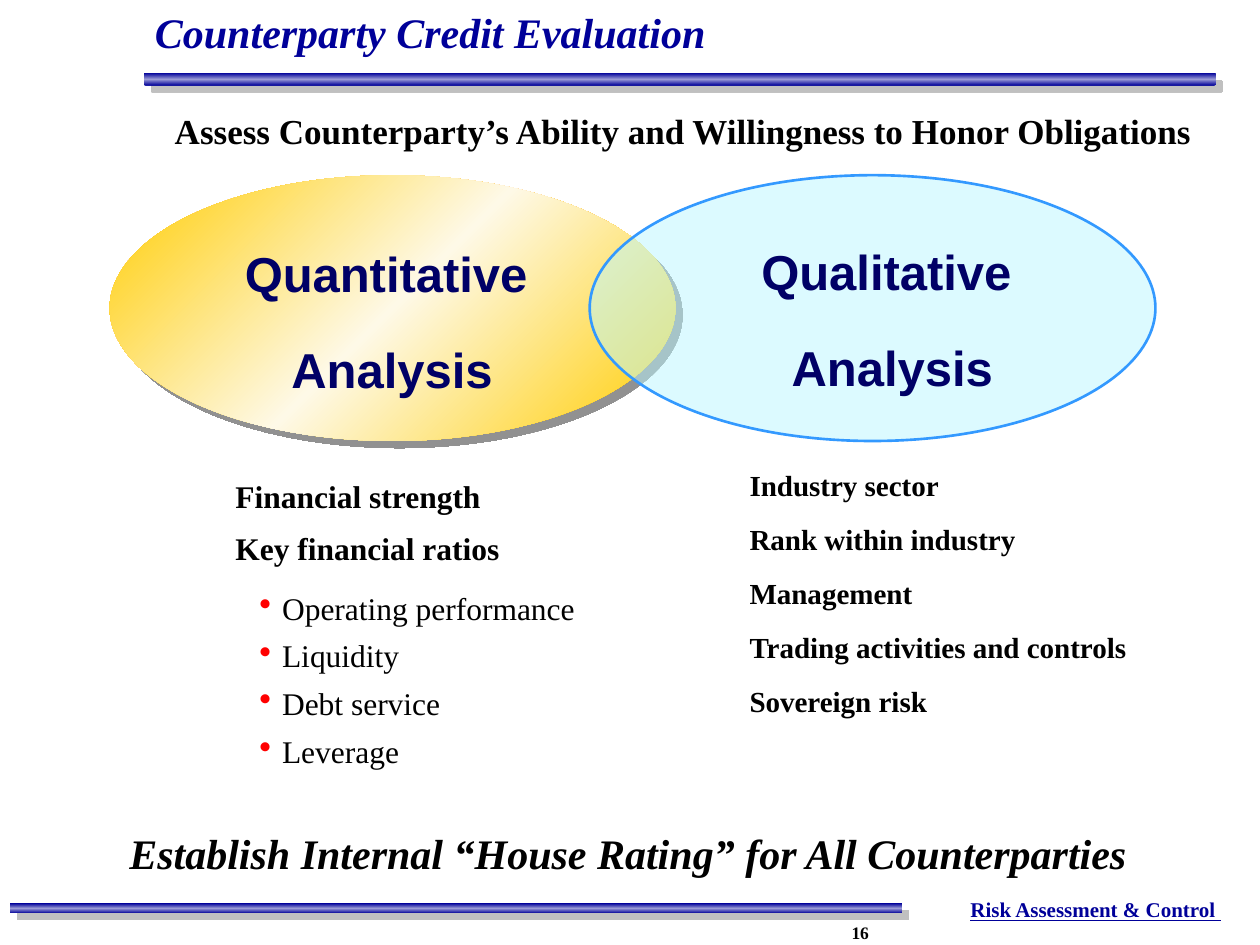
from lxml import etree
from pptx import Presentation, util as u
from pptx.dml import color
from pptx.enum import shapes, text
from pptx.oxml import ns

Pt = u.Pt
SHAPE = shapes.MSO_SHAPE
ALIGN = text.PP_ALIGN
ANCHOR = text.MSO_ANCHOR
SERIF = "Times New Roman"
NAVY, BLACK = "000099", "000000"


def rgb(value):
    return color.RGBColor.from_string(value)


def add_element(parent, tag, **attributes):
    element = etree.SubElement(parent, ns.qn(tag))
    for name, value in attributes.items():
        element.set(name, str(value))
    return element


def add_plain_shape(slide, kind, box):
    shape = slide.shapes.add_shape(kind, *map(Pt, box))
    shape.shadow.inherit = False
    shape.fill.background()
    shape.line.fill.background()
    return shape


def add_gradient_shape(slide, kind, box, edge, middle, angle, shadow):
    shape = add_plain_shape(slide, kind, box)
    properties = shape._element.spPr
    gradient = etree.Element(ns.qn("a:gradFill"), rotWithShape="1")
    stops = add_element(gradient, "a:gsLst")
    for position, value in ((0, edge), (50, middle), (100, edge)):
        stop = add_element(stops, "a:gs", pos=position * 1000)
        add_element(stop, "a:srgbClr", val=value)
    add_element(gradient, "a:lin", ang=angle * 60000, scaled=0)
    properties.replace(properties.find(ns.qn("a:noFill")), gradient)
    outer = add_element(properties.find(ns.qn("a:effectLst")), "a:outerShdw",
                        dist=Pt(5.7), dir=45 * 60000, algn="ctr", rotWithShape=0)
    add_element(outer, "a:srgbClr", val=shadow)


def add_translucent_ellipse(slide, box, fill, opacity, line):
    shape = add_plain_shape(slide, SHAPE.OVAL, box)
    shape.fill.solid()
    shape.fill.fore_color.rgb = rgb(fill)
    solid = shape._element.spPr.find(ns.qn("a:solidFill"))
    add_element(solid[0], "a:alpha", val=opacity * 1000)
    shape.line.color.rgb = rgb(line)
    shape.line.width = Pt(1.5)


def add_bullet(paragraph):
    properties = paragraph._p.get_or_add_pPr()
    properties.set("marL", str(Pt(26.64)))
    properties.set("indent", str(Pt(-12.96)))
    add_element(add_element(properties, "a:buClr"), "a:srgbClr", val="FF0000")
    add_element(properties, "a:buSzPct", val=110000)
    add_element(properties, "a:buChar", char="•")
    paragraph.level = 1


def write(frame, content, size=18, font=SERIF, colour=BLACK, bold=True, italic=False,
          underline=False, align=ALIGN.LEFT, spacing=1.0, before=0, after=0,
          bullet=False, extend=False):
    for index, line in enumerate(content.split("\n")):
        first = index == 0 and not extend
        paragraph = frame.paragraphs[0] if first else frame.add_paragraph()
        if bullet:
            add_bullet(paragraph)
        paragraph.alignment = align
        paragraph.line_spacing = spacing
        paragraph.space_before = Pt(0 if first else before)
        paragraph.space_after = Pt(after)
        run = paragraph.add_run()
        run.text = line
        run.font.size = Pt(size)
        run.font.name = font
        run.font.color.rgb = rgb(colour)
        run.font.bold = bold
        run.font.italic = italic
        run.font.underline = underline


def set_frame(frame, wrap, anchor, left=7.2, right=7.2):
    frame.word_wrap = wrap
    frame.vertical_anchor = anchor
    frame.margin_left, frame.margin_right = Pt(left), Pt(right)
    frame.margin_top = frame.margin_bottom = Pt(3.6)
    return frame


def add_text(slide, box, wrap=True, anchor=ANCHOR.TOP, **margins):
    shape = slide.shapes.add_textbox(*map(Pt, box))
    return set_frame(shape.text_frame, wrap, anchor, **margins)


def add_banner(slide, box, content, **formatting):
    shape = add_plain_shape(slide, SHAPE.ROUNDED_RECTANGLE, box)
    frame = set_frame(shape.text_frame, False, ANCHOR.MIDDLE)
    write(frame, content, align=ALIGN.CENTER, **formatting)


def main():
    presentation = Presentation()
    presentation.slide_width, presentation.slide_height = Pt(720), Pt(540)
    slide = presentation.slides.add_slide(presentation.slide_layouts[6])

    write(add_text(slide, (396, 509.04, 316.08, 21.6), left=151.2),
          "Risk Assessment & Control ", size=12, colour=NAVY, underline=True,
          align=ALIGN.CENTER)
    write(add_text(slide, (479.52, 523.44, 59.04, 18.72), wrap=False), "16", size=10)
    for kind, box in ((SHAPE.RECTANGLE, (5.76, 516.24, 509.76, 5.76)),
                      (SHAPE.ROUNDED_RECTANGLE, (82.08, 41.76, 612.72, 7.2))):
        add_gradient_shape(slide, kind, box, NAVY, "9A9AD6", 90, "C0C0C0")

    add_banner(slide, (26.64, 464.4, 664.56, 45.36),
               "Establish Internal “House Rating” for All Counterparties",
               size=24, italic=True)
    write(add_text(slide, (84.96, 5.76, 614.16, 30.24), anchor=ANCHOR.BOTTOM,
                   left=3.6, right=3.6),
          "Counterparty Credit Evaluation", size=24, colour=NAVY, italic=True,
          spacing=0.85)
    add_banner(slide, (56.88, 53.28, 663.12, 42.48),
               " Assess Counterparty’s Ability and Willingness to Honor Obligations",
               size=20)

    add_gradient_shape(slide, SHAPE.OVAL, (62.64, 100.08, 323.28, 151.92),
                       "FFCC00", "FEF9E7", 225, "919191")
    add_translucent_ellipse(slide, (336.96, 100.08, 323.28, 151.92),
                            "BBF7FF", 50, "3399FF")
    for left, top, kind in ((59.76, 139.68, "Quantitative"),
                            (345.6, 138.24, "Qualitative")):
        write(add_text(slide, (left, top, 321.84, 95.76)), f"{kind}\n Analysis",
              size=28, font="Arial", colour="000066", align=ALIGN.CENTER,
              spacing=0.9, before=14, after=10.5)

    quantitative = add_text(slide, (127.44, 271.44, 219.6, 181.44))
    write(quantitative, "Financial strength\nKey financial ratios",
          spacing=0.9, before=3.4, after=6.8)
    write(quantitative, "Operating performance\nLiquidity\nDebt service\nLeverage",
          bold=False, spacing=0.9, before=7.9, bullet=True, extend=True)
    write(add_text(slide, (421.2, 269.28, 255.6, 139.68)),
          "Industry sector\nRank within industry\nManagement\n"
          "Trading activities and controls\nSovereign risk",
          size=16.6, spacing=0.7, before=10.1, after=6.8)

    presentation.save("out.pptx")


if __name__ == "__main__":
    main()
